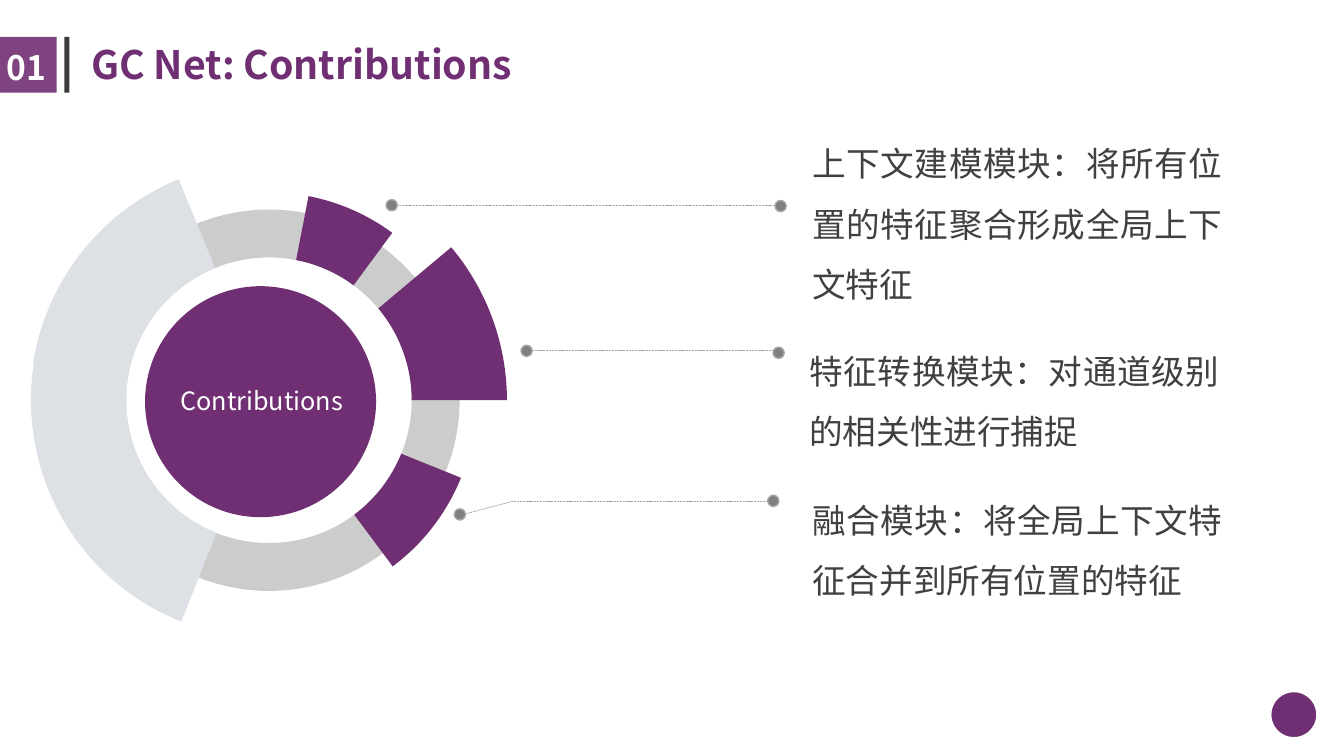
from dataclasses import dataclass
from math import cos, radians, sin, tan

from lxml import etree
from pptx import Presentation
from pptx.dml.color import RGBColor
from pptx.enum import dml, shapes, text
from pptx.oxml import ns
from pptx.util import Pt


@dataclass(frozen=True)
class Theme:
    """Colours, font and type sizes of the slide."""
    purple: str = "702F73"
    dark: str = "262626"
    body: str = "404040"
    ring: str = "CCCCCC"
    pale: str = "DDE0E5"
    dot: str = "808080"
    rule: str = "A6A6A6"
    white: str = "FFFFFF"
    font: str = "Noto Sans CJK SC"
    title_size: int = 28
    body_size: int = 24
    label_size: int = 18


T = Theme()
ALIGN = text.PP_ALIGN
SECTORS = [
    (22, 53.3, 148, T.purple),
    (-79, -53.6, 148.5, T.purple),
    (111.6, 190, 170, T.pale),
    (-40, 0, 170, T.purple),
    (189, 247.8, 170.5, T.pale),
]
LEADERS = [
    ([(280.8, 146.9), (555.8, 146.9)], [(279.8, 146.6), (557.6, 147.2)]),
    ([(375.8, 250.6), (552.2, 250.6)], [(376.2, 250.6), (556.2, 252)]),
    ([(331.9, 367.2), (367.2, 357.8), (552.2, 357.8)],
     [(328.5, 367.5), (552.4, 357.8)]),
]
NOTES = [
    (573.1, 84.2, 133.2, "上下文建模模块：将所有位置的特征聚合形成全局上下文特征"),
    (571, 232.6, 89.3, "特征转换模块：对通道级别的相关性进行捕捉"),
    (573.1, 339.1, 89.3, "融合模块：将全局上下文特征合并到所有位置的特征"),
]


def paint(sp, color, line=None, width=1.0, alpha=None):
    """Give a shape a flat fill, an optional outline and optional opacity."""
    sp.shadow.inherit = False
    sp.fill.solid()
    sp.fill.fore_color.rgb = RGBColor.from_string(color)
    if alpha:
        clr = sp._element.spPr.find(".//" + ns.qn("a:srgbClr"))
        etree.SubElement(clr, ns.qn("a:alpha")).set("val", str(alpha * 1000))
    if line:
        sp.line.color.rgb = RGBColor.from_string(line)
        sp.line.width = Pt(width)
    else:
        sp.line.fill.background()


def add_preset(s, kind, x, y, w, h, color, **style):
    """Add a painted preset shape in the given box."""
    sp = s.shapes.add_shape(kind, Pt(x), Pt(y), Pt(w), Pt(h))
    paint(sp, color, **style)
    return sp


def add_disc(s, cx, cy, radius, color, **style):
    """Add a circle around a centre."""
    add_preset(s, shapes.MSO_SHAPE.OVAL, cx - radius, cy - radius,
               2 * radius, 2 * radius, color, **style)


def add_text(s, x, y, w, h, words, size, color, bold=False, align=ALIGN.LEFT,
             spacing=1.0, anchor=text.MSO_ANCHOR.TOP,
             fit=text.MSO_AUTO_SIZE.SHAPE_TO_FIT_TEXT):
    """Add a wrapped text box holding one paragraph."""
    tf = s.shapes.add_textbox(Pt(x), Pt(y), Pt(w), Pt(h)).text_frame
    tf.word_wrap = True
    tf.auto_size = fit
    tf.vertical_anchor = anchor
    tf.text = words
    p = tf.paragraphs[0]
    p.alignment = align
    p.line_spacing = spacing
    r = p.runs[0]
    r.font.name = T.font
    r.font.size = Pt(size)
    r.font.bold = bold
    r.font.color.rgb = RGBColor.from_string(color)
    etree.SubElement(r._r.get_or_add_rPr(), ns.qn("a:ea")).set("typeface", T.font)


def polar(cx, cy, radius, degrees, pull=0.0):
    """Return a point on a circle, moved along the tangent by pull radii."""
    a = radians(degrees)
    return (Pt(cx + radius * (cos(a) - pull * sin(a))),
            Pt(cy + radius * (sin(a) + pull * cos(a))))


def add_sector(s, cx, cy, start, end, inner, outer, color):
    """Add a ring sector whose two arcs are curves, cut at quarter turns."""
    cuts = [start] + [q for q in range(-90, 361, 90) if start < q < end] + [end]
    nodes = [(outer, a) for a in cuts] + [(inner, a) for a in reversed(cuts)]
    points = [polar(cx, cy, *node) for node in nodes]
    builder = s.shapes.build_freeform(*points[0])
    builder.add_line_segments(points[1:], close=True)
    sp = builder.convert_to_shape()
    paint(sp, color)
    lines = list(sp._element.iter(ns.qn("a:lnTo")))
    for line, (r1, a1), (r2, a2) in zip(lines, nodes, nodes[1:]):
        if r1 != r2:
            continue
        pull = 4 / 3 * tan(radians(a2 - a1) / 4)
        line.tag = ns.qn("a:cubicBezTo")
        handles = [polar(cx, cy, r1, a1, pull), polar(cx, cy, r1, a2, -pull)]
        for i, (px, py) in enumerate(handles):
            pt = etree.Element(ns.qn("a:pt"))
            pt.set("x", str(px - sp.left))
            pt.set("y", str(py - sp.top))
            line.insert(i, pt)


def header(s, x, y, w, h):
    """Place the numbered tab, its bar and the title."""
    rect = shapes.MSO_SHAPE.RECTANGLE
    add_preset(s, rect, x, y, 40.5, h, T.purple, alpha=90)
    add_preset(s, rect, x + 46, y, 3.5, h, T.dark, alpha=90)
    add_text(s, x + 58, y, w - 58, h + 3.3, "GC Net: Contributions", T.title_size,
             T.purple, bold=True, spacing=0.9, anchor=text.MSO_ANCHOR.MIDDLE,
             fit=text.MSO_AUTO_SIZE.NONE)
    add_text(s, x - 2.5, y + 3.4, 53.3, 36, "01", T.body_size, T.white, bold=True)


def wheel(s, x, y, w, h):
    """Place the ring, its sectors and the labelled hub."""
    cx, cy = x + w / 2, y + h / 2
    inner, radius = 102, 136.2
    ring = add_preset(s, shapes.MSO_SHAPE.DONUT, cx - radius, cy - radius,
                      2 * radius, 2 * radius, T.ring)
    ring.adjustments[0] = (radius - inner) / (2 * radius)
    for start, end, outer, color in SECTORS:
        add_sector(s, cx, cy, start, end, inner, outer, color)
    add_disc(s, cx - 6, cy + 1, 82.5, T.purple)
    add_text(s, cx - 76, cy - 14.4, 141.8, 29, "Contributions", T.label_size,
             T.white, align=ALIGN.CENTER)


def leader(s, points, dots):
    """Draw a dashed path and its end dots."""
    for (x1, y1), (x2, y2) in zip(points, points[1:]):
        c = s.shapes.add_connector(shapes.MSO_CONNECTOR.STRAIGHT,
                                   Pt(x1), Pt(y1), Pt(x2), Pt(y2))
        c.line.color.rgb = RGBColor.from_string(T.rule)
        c.line.width = Pt(0.5)
        c.line.dash_style = dml.MSO_LINE.SQUARE_DOT
        etree.SubElement(c._element.spPr, ns.qn("a:effectLst"))
    for cx, cy in dots:
        add_disc(s, cx, cy, 4, T.dot, line=T.rule)


def note(s, x, y, w, h, words):
    """Place one contribution text."""
    add_text(s, x, y, w, h, words, T.body_size, T.body,
             align=ALIGN.JUSTIFY, spacing=1.5)


def main():
    """Build and save the slide."""
    prs = Presentation()
    prs.slide_width, prs.slide_height = Pt(960), Pt(540)
    s = prs.slides.add_slide(prs.slide_layouts[6])
    add_disc(s, 924.2, 510.5, 18.25, T.purple, line=T.white, width=4.5)
    header(s, 0, 26.4, 885.6, 39.8)
    wheel(s, 21.6, 115.4, 341, 341)
    for points, dots in LEADERS:
        leader(s, points, dots)
    for x, y, h, words in NOTES:
        note(s, x, y, 307.4, h, words)
    prs.save("out.pptx")


if __name__ == "__main__":
    main()
